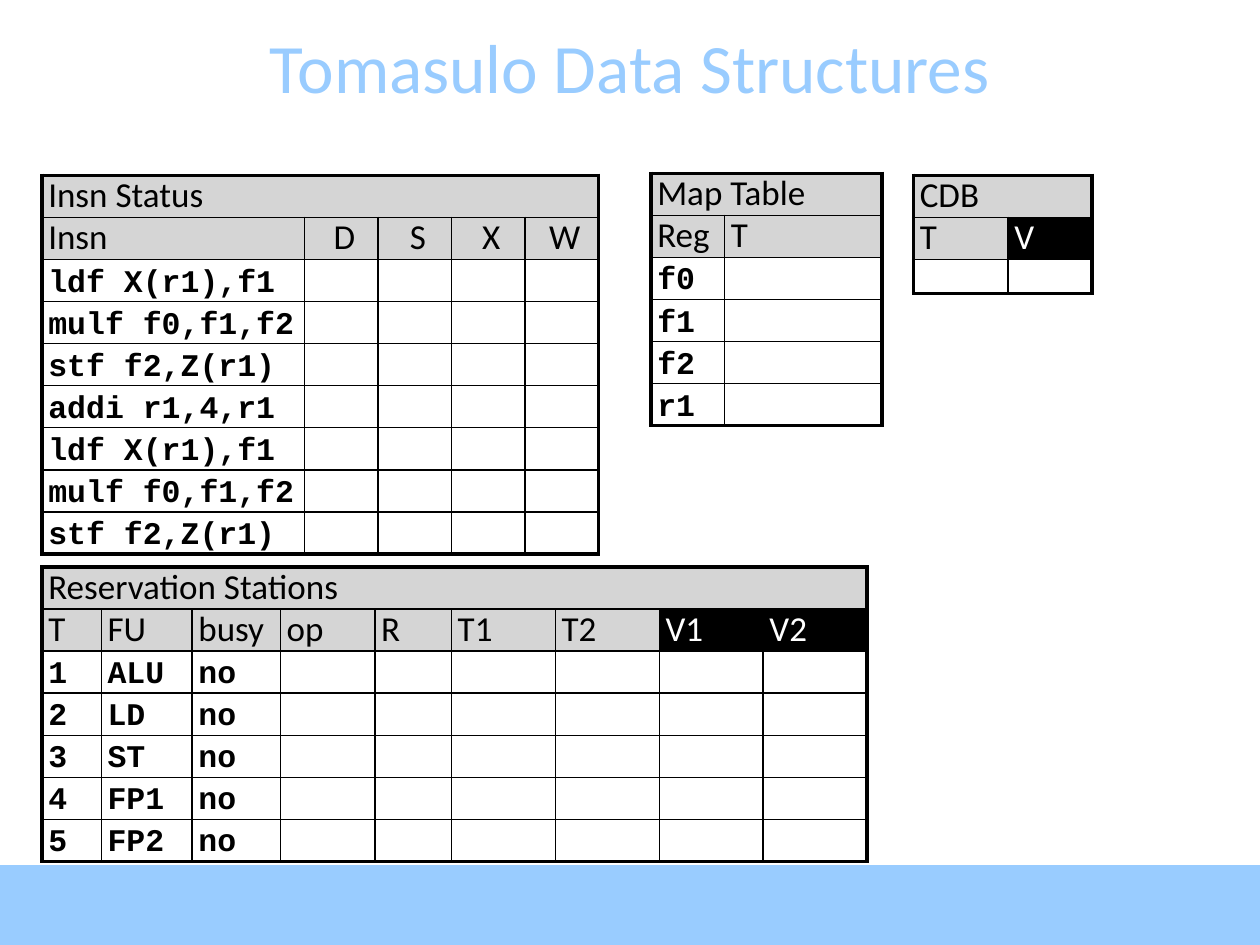
import dataclasses
import pptx
import pptx.util
import pptx.dml.color
import pptx.enum.shapes
import pptx.enum.text
import pptx.oxml.ns
import lxml.etree

Pt = pptx.util.Pt
PP_ALIGN = pptx.enum.text.PP_ALIGN
MSO_ANCHOR = pptx.enum.text.MSO_ANCHOR


@dataclasses.dataclass(frozen=True)
class Theme:
    accent: str = "99CCFF"
    ink: str = "000000"
    paper: str = "FFFFFF"
    header: str = "D5D5D5"
    sans: str = "Calibri"
    mono: str = "Courier New"
    title_size: float = 39.6
    head_size: float = 20
    code_size: float = 18
    empty_size: float = 12
    leading: float = 24
    thin: float = 1
    thick: float = 2.25


def rgb(value):
    return pptx.dml.color.RGBColor.from_string(value)


def write(tf, text, *, font, size, color, bold=False, align=PP_ALIGN.LEFT, leading=None):
    p = tf.paragraphs[0]
    p.alignment = align
    if leading:
        p.line_spacing = Pt(leading)
    r = p.add_run()
    r.text = text
    r.font.name = font
    r.font.size = Pt(size)
    r.font.bold = bold
    r.font.color.rgb = rgb(color)


class Deck:
    COLUMNS, ROWS = 120, 90

    def __init__(self, theme):
        self.theme = theme
        self.prs = pptx.Presentation()
        self.prs.slide_width = pptx.util.Inches(10)
        self.prs.slide_height = pptx.util.Inches(7.5)
        self.s = self.prs.slides.add_slide(self.prs.slide_layouts[5])

    def x(self, columns):
        return round(self.prs.slide_width * columns / self.COLUMNS)

    def y(self, rows):
        return round(self.prs.slide_height * rows / self.ROWS)

    def title(self, text, top, height):
        sp = self.s.shapes.title
        sp.left, sp.top = 0, self.y(top)
        sp.width, sp.height = self.prs.slide_width, self.y(height)
        tf = sp.text_frame
        tf.vertical_anchor = MSO_ANCHOR.MIDDLE
        write(tf, text, font=self.theme.sans, size=self.theme.title_size,
              color=self.theme.accent, align=PP_ALIGN.CENTER)

    def band(self, top):
        sp = self.s.shapes.add_shape(
            pptx.enum.shapes.MSO_SHAPE.RECTANGLE, 0, self.y(top),
            self.prs.slide_width, self.y(self.ROWS - top))
        sp.shadow.inherit = False
        sp.fill.solid()
        sp.fill.fore_color.rgb = rgb(self.theme.accent)
        sp.line.fill.background()

    def borders(self, cell, thick_edges):
        pr = cell._tc.get_or_add_tcPr()
        for i, edge in enumerate("LRTB"):
            width = self.theme.thick if edge in thick_edges else self.theme.thin
            ln = lxml.etree.Element(pptx.oxml.ns.qn("a:ln" + edge), w=str(Pt(width)))
            fill = lxml.etree.SubElement(ln, pptx.oxml.ns.qn("a:solidFill"))
            lxml.etree.SubElement(fill, pptx.oxml.ns.qn("a:srgbClr"), val=self.theme.ink)
            pr.insert(i, ln)

    def cell(self, cell, text, heading, dark, align):
        th = self.theme
        cell.margin_left = pptx.util.Inches(0.05)
        cell.margin_right = cell.margin_top = cell.margin_bottom = 0
        if heading:
            cell.fill.solid()
            cell.fill.fore_color.rgb = rgb(th.ink if dark else th.header)
        else:
            cell.fill.background()
        if text:
            write(cell.text_frame, text, font=th.sans if heading else th.mono,
                  size=th.head_size if heading else th.code_size,
                  color=th.paper if dark else th.ink, bold=not heading,
                  align=align, leading=th.leading)
        else:
            cell.text_frame.paragraphs[0].font.size = Pt(th.empty_size)
            end = cell.text_frame.paragraphs[0]._p.get_or_add_endParaRPr()
            end.set("sz", str(int(th.empty_size * 100)))

    def table(self, left, top, widths, caption, heads, body, dark=(), centred=()):
        grid = [[caption], heads, *body]
        rows, cols = len(grid), len(widths)
        row_height = 3.25
        tbl = self.s.shapes.add_table(
            rows, cols, self.x(left), self.y(top),
            self.x(sum(widths)), self.y(row_height * rows)).table
        tbl.first_row = tbl.horz_banding = False
        for column, width in zip(tbl.columns, widths):
            column.width = self.x(width)
        for i, texts in enumerate(grid):
            tbl.rows[i].height = self.y(row_height)
            for j in range(cols):
                text = texts[j] if j < len(texts) else ""
                align = PP_ALIGN.CENTER if i == 1 and text in centred else PP_ALIGN.LEFT
                cell = tbl.cell(i, j)
                self.cell(cell, text, i < 2, i == 1 and text in dark, align)
                outer = {"L": j == 0 or i == 0, "R": j == cols - 1 or i == 0,
                         "T": i == 0, "B": i == rows - 1}
                self.borders(cell, [edge for edge, on in outer.items() if on])
        tbl.cell(0, 0).merge(tbl.cell(0, cols - 1))


deck = Deck(Theme())
deck.band(82.4)
deck.title("Tomasulo Data Structures", 2.5, 7.6)

loop = ["ldf X(r1),f1", "mulf f0,f1,f2", "stf f2,Z(r1)"]
stages = ["D", "S", "X", "W"]
deck.table(4, 16.7, [25, 7, 7, 7, 7], "Insn Status", ["Insn", *stages],
           [[insn] for insn in [*loop, "addi r1,4,r1", *loop]], centred=stages)
deck.table(62, 16.5, [7, 15], "Map Table", ["Reg", "T"],
           [[reg] for reg in ["f0", "f1", "f2", "r1"]])
units = ["ALU", "LD", "ST", "FP1", "FP2"]
deck.table(4, 54, [5.65, 8.65, 8.4, 9, 7.3] + [9.9] * 4, "Reservation Stations",
           ["T", "FU", "busy", "op", "R", "T1", "T2", "V1", "V2"],
           [[str(tag), unit, "no"] for tag, unit in enumerate(units, 1)],
           dark=["V1", "V2"])
deck.table(87, 16.7, [9, 8], "CDB", ["T", "V"], [[]], dark=["V"])

deck.prs.save("out.pptx")
